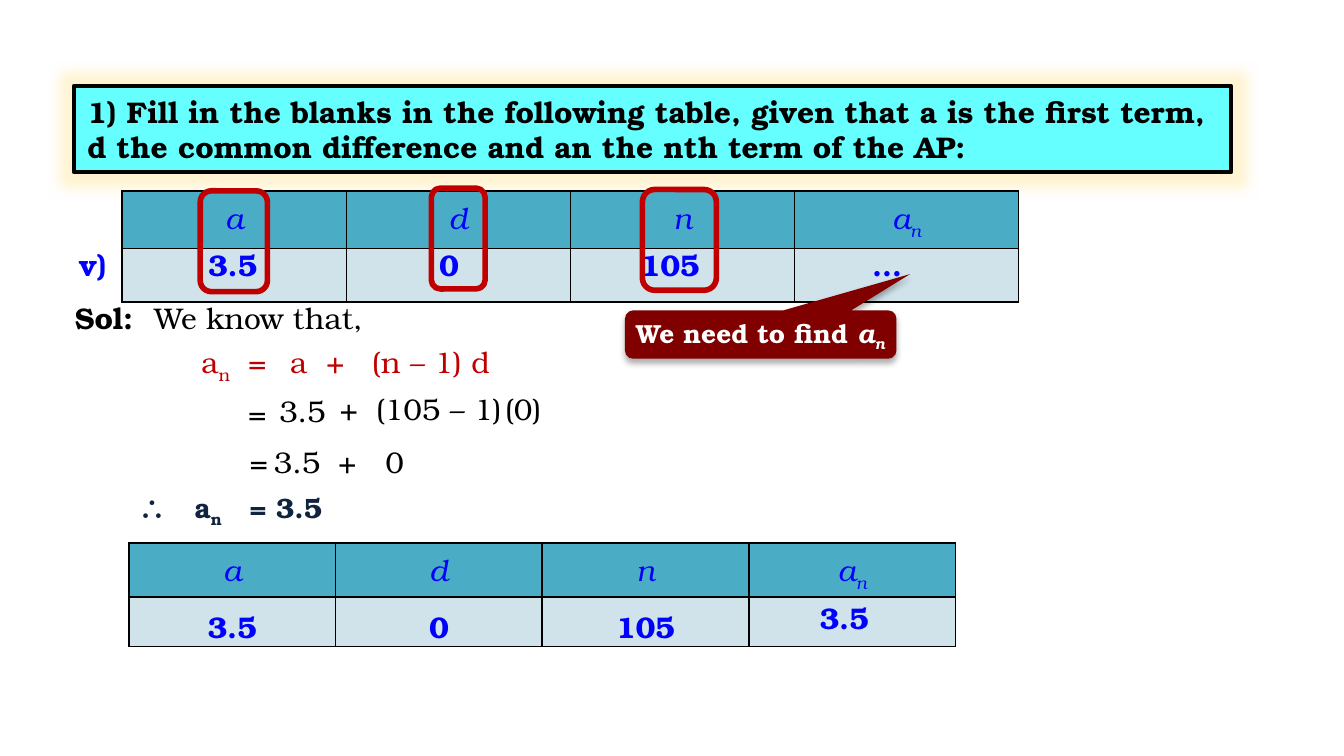
import dataclasses

import lxml.etree
import pptx
import pptx.dml.color
import pptx.enum.shapes
import pptx.enum.text
import pptx.oxml
import pptx.oxml.ns
import pptx.util

Inches = pptx.util.Inches
Pt = pptx.util.Pt
qn = pptx.oxml.ns.qn
Shape = pptx.enum.shapes.MSO_SHAPE
Align = pptx.enum.text.PP_ALIGN
AutoSize = pptx.enum.text.MSO_AUTO_SIZE


@dataclasses.dataclass(frozen=True)
class Theme:
    """Colours, font and type sizes of the slide."""
    font: str = "TeX Gyre Bonum"
    body: float = 16
    result: float = 15
    label: float = 14
    ink: str = "000000"
    white: str = "FFFFFF"
    blue: str = "0000FF"
    red: str = "C00000"
    navy: str = "0F243E"
    maroon: str = "800000"
    cyan: str = "66FFFF"
    glow: str = "FFC000"
    header: str = "4BACC6"
    band: str = "D0E3EA"


THEME = Theme()
TERM = [("a", "i"), ("n", "i_")]
HEADERS = ["a", "d", "n", TERM]


def rgb(colour):
    """Return a colour object for a hex string."""
    return pptx.dml.color.RGBColor.from_string(colour)


def write(paragraph, text, size=THEME.body, colour=THEME.ink, bold=False,
          italic=False, align=Align.LEFT, tabs=()):
    """Write a string, or (string, flags) pieces with i italic and _ subscript."""
    paragraph.alignment = align
    if tabs:
        tab_list = lxml.etree.SubElement(paragraph._p.get_or_add_pPr(), qn("a:tabLst"))
        for position in tabs:
            lxml.etree.SubElement(tab_list, qn("a:tab"), pos=str(Inches(position)), algn="l")
    if not text:
        ending = lxml.etree.SubElement(paragraph._p, qn("a:endParaRPr"), sz=str(size * 100))
        lxml.etree.SubElement(ending, qn("a:latin"), typeface=THEME.font)
        return
    for piece, flags in [(text, "")] if isinstance(text, str) else text:
        run = paragraph.add_run()
        run.text = piece
        run.font.name = THEME.font
        run.font.size = Pt(size)
        run.font.bold = bold
        run.font.italic = italic or "i" in flags
        run.font.color.rgb = rgb(colour)
        if "_" in flags:
            run._r.get_or_add_rPr().set("baseline", "-25000")


def add_effect(shape, tag, colour, alpha, **attributes):
    """Give a shape one glow or shadow effect."""
    shape.shadow.inherit = False
    effects = shape._element.spPr.find(qn("a:effectLst"))
    effect = lxml.etree.SubElement(effects, qn(tag), **attributes)
    tint = lxml.etree.SubElement(effect, qn("a:srgbClr"), val=colour)
    lxml.etree.SubElement(tint, qn("a:alpha"), val=str(alpha * 1000))


class SlideBuilder:
    """Holds the theme and the current slide."""

    def __init__(self, presentation, theme):
        self.theme = theme
        self.slide = presentation.slides.add_slide(presentation.slide_layouts[5])

    def title(self, lines, left, top, width, height):
        """Place the question in the title placeholder."""
        title = self.slide.shapes.title
        title.left, title.top = Inches(left), Inches(top)
        title.width, title.height = Inches(width), Inches(height)
        title.fill.solid()
        title.fill.fore_color.rgb = rgb(self.theme.cyan)
        title.line.color.rgb = rgb(self.theme.ink)
        title.line.width = Pt(2.25)
        add_effect(title, "a:glow", self.theme.glow, 18, rad=str(Pt(14)))
        frame = title.text_frame
        frame.auto_size = AutoSize.NONE
        for index, line in enumerate(lines):
            paragraph = frame.add_paragraph() if index else frame.paragraphs[0]
            write(paragraph, line, bold=True)

    def text(self, text, left, top, width, height=0.37, wrap=True, parent=None, **style):
        """Add a one-paragraph text box."""
        shapes = (parent or self.slide).shapes
        box = shapes.add_textbox(Inches(left), Inches(top), Inches(width), Inches(height))
        box.text_frame.word_wrap = wrap
        box.text_frame.auto_size = AutoSize.SHAPE_TO_FIT_TEXT
        write(box.text_frame.paragraphs[0], text, **style)

    def table(self, left, top, width, values):
        """Add a bordered table with the term names above the values."""
        frame = self.slide.shapes.add_table(
            2, len(HEADERS), Inches(left), Inches(top), Inches(width), Inches(0.73))
        table = frame.table
        for column in table.columns:
            column.width = Inches(width / len(HEADERS))
        fills = (self.theme.header, self.theme.band)
        for row, (texts, fill, height) in enumerate(zip((HEADERS, values), fills, (0.3, 0.26))):
            table.rows[row].height = Inches(height)
            for column, text in enumerate(texts):
                cell = table.cell(row, column)
                write(cell.text_frame.paragraphs[0], text, colour=self.theme.blue,
                      bold=row == 1, italic=row == 0, align=Align.CENTER)
                self.borders(cell)
                cell.fill.solid()
                cell.fill.fore_color.rgb = rgb(fill)

    def borders(self, cell):
        """Draw all four borders of a cell."""
        properties = cell._tc.get_or_add_tcPr()
        for side in ("a:lnL", "a:lnR", "a:lnT", "a:lnB"):
            line = lxml.etree.SubElement(properties, qn(side), w=str(Pt(1)))
            fill = lxml.etree.SubElement(line, qn("a:solidFill"))
            lxml.etree.SubElement(fill, qn("a:srgbClr"), val=self.theme.ink)

    def callout(self, text, left, top, width, height):
        """Add a grouped callout and its label."""
        group = self.slide.shapes.add_group_shape()
        bubble = group.shapes.add_shape(
            Shape.ROUNDED_RECTANGULAR_CALLOUT,
            Inches(left), Inches(top), Inches(width), Inches(height))
        for index, value in enumerate((0.55, -1.25, 0.17)):
            bubble.adjustments[index] = value
        bubble.fill.solid()
        bubble.fill.fore_color.rgb = rgb(self.theme.maroon)
        bubble.line.fill.background()
        add_effect(bubble, "a:outerShdw", self.theme.ink, 32, blurRad=str(Pt(3.5)),
                   dist=str(Pt(2.2)), dir="5400000", rotWithShape="0")
        self.text(text, left - 0.05, top, width + 0.1, 0.34, wrap=False, parent=group,
                  size=self.theme.label, colour=self.theme.white, bold=True,
                  align=Align.CENTER)

    def ring(self, left, top, width):
        """Outline one column of the table."""
        ring = self.slide.shapes.add_shape(
            Shape.FLOWCHART_ALTERNATE_PROCESS,
            Inches(left), Inches(top), Inches(width), Inches(0.75))
        ring.shadow.inherit = False
        ring.fill.background()
        ring.line.color.rgb = rgb(self.theme.red)
        ring.line.width = Pt(3)


def main():
    """Build and save the slide."""
    presentation = pptx.Presentation()
    presentation.slide_width, presentation.slide_height = Inches(10), Inches(10 * 9 / 16)
    builder = SlideBuilder(presentation, THEME)
    builder.title(["1) Fill in the blanks in the following table, given that a is the first term,",
                   "d the common difference and an the nth term of the AP:"],
                  0.55, 0.64, 8.61, 0.64)
    builder.table(0.91, 1.42, 6.67, [""] * 4)
    builder.text("v)\t3.5\t0\t105\t…", 0.49, 1.79, 7.1, colour=THEME.blue, bold=True,
                 tabs=(0.96, 2.68, 4.18, 5.9))
    builder.text("Sol:", 0.46, 2.18, 0.64, wrap=False, bold=True)
    builder.callout([("We need to find ", "")] + TERM, 4.65, 2.31, 2.02, 0.36)
    builder.text("We know that,", 1.05, 2.18, 1.97)

    builder.text([("a", ""), ("n", "_"), ("\t=", "")], 1.4, 2.51, 1.04,
                 colour=THEME.red, tabs=(0.35,))
    builder.text("a\t+\t(n – 1) d", 2.06, 2.51, 1.76, colour=THEME.red, tabs=(0.27, 0.61))
    builder.text("=", 1.75, 2.89, 0.41)
    builder.text("3.5", 1.98, 2.87, 0.6)
    builder.text("+\t(105 – 1)", 2.43, 2.86, 1.6, tabs=(0.27,))
    builder.text("(0)", 3.66, 2.86, 0.53)
    builder.text("=", 1.76, 3.25, 0.41)
    builder.text("3.5\t+\t0", 1.94, 3.25, 1.83, tabs=(0.48, 0.83))
    builder.text([("∴\ta", ""), ("n", "_"), ("\t= 3.5", "")], 0.93, 3.6, 1.67, 0.35,
                 size=THEME.result, colour=THEME.navy, bold=True, tabs=(0.42, 0.83))

    for left, top, width in ((1.49, 1.42, 0.5), (4.78, 1.41, 0.55), (3.21, 1.4, 0.4)):
        builder.ring(left, top, width)
    builder.table(0.96, 4.04, 6.15, ["3.5", "0", "105", ""])
    builder.text("3.5", 6, 4.41, 0.63, colour=THEME.blue, bold=True)
    presentation.save("out.pptx")


if __name__ == "__main__":
    main()
